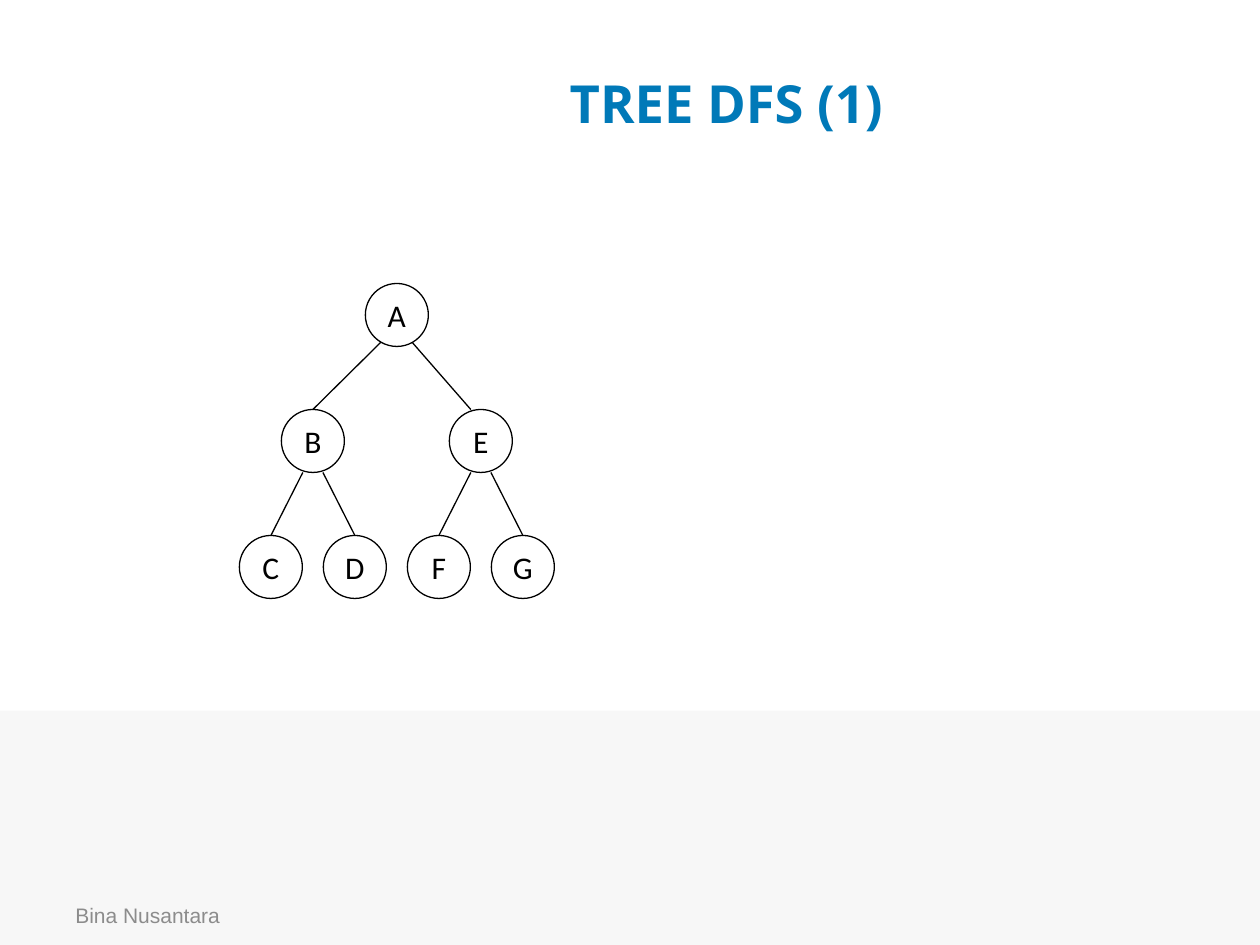
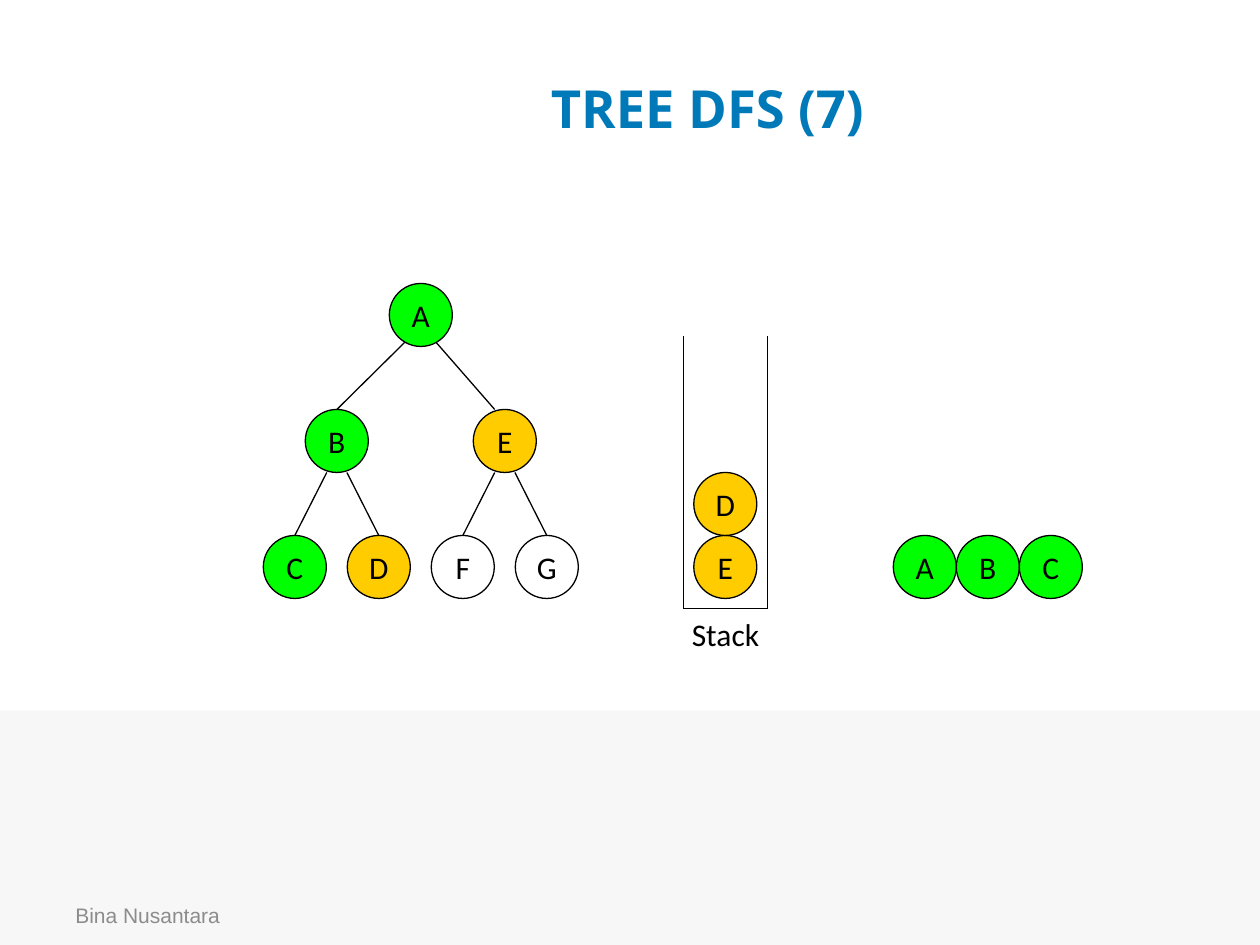
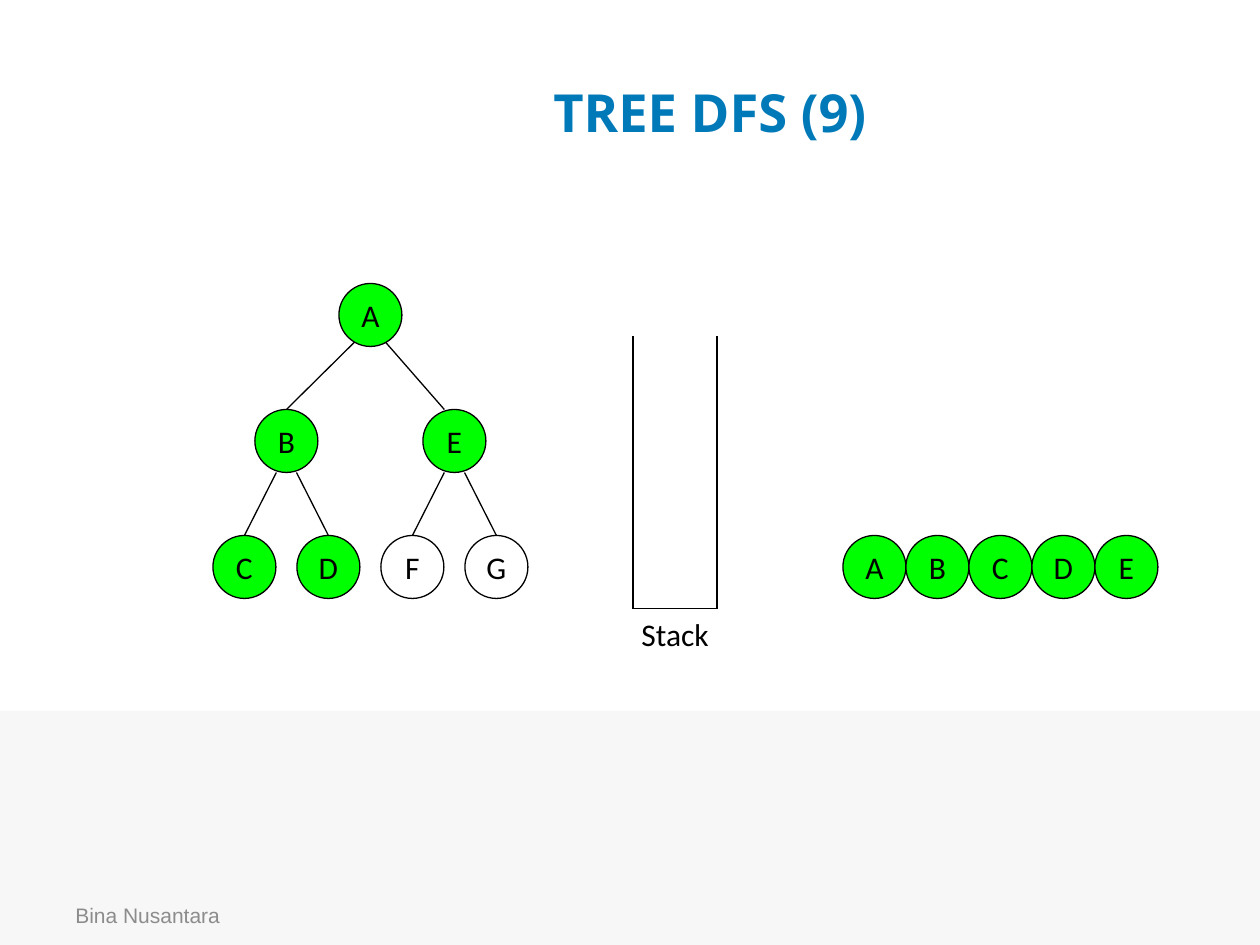
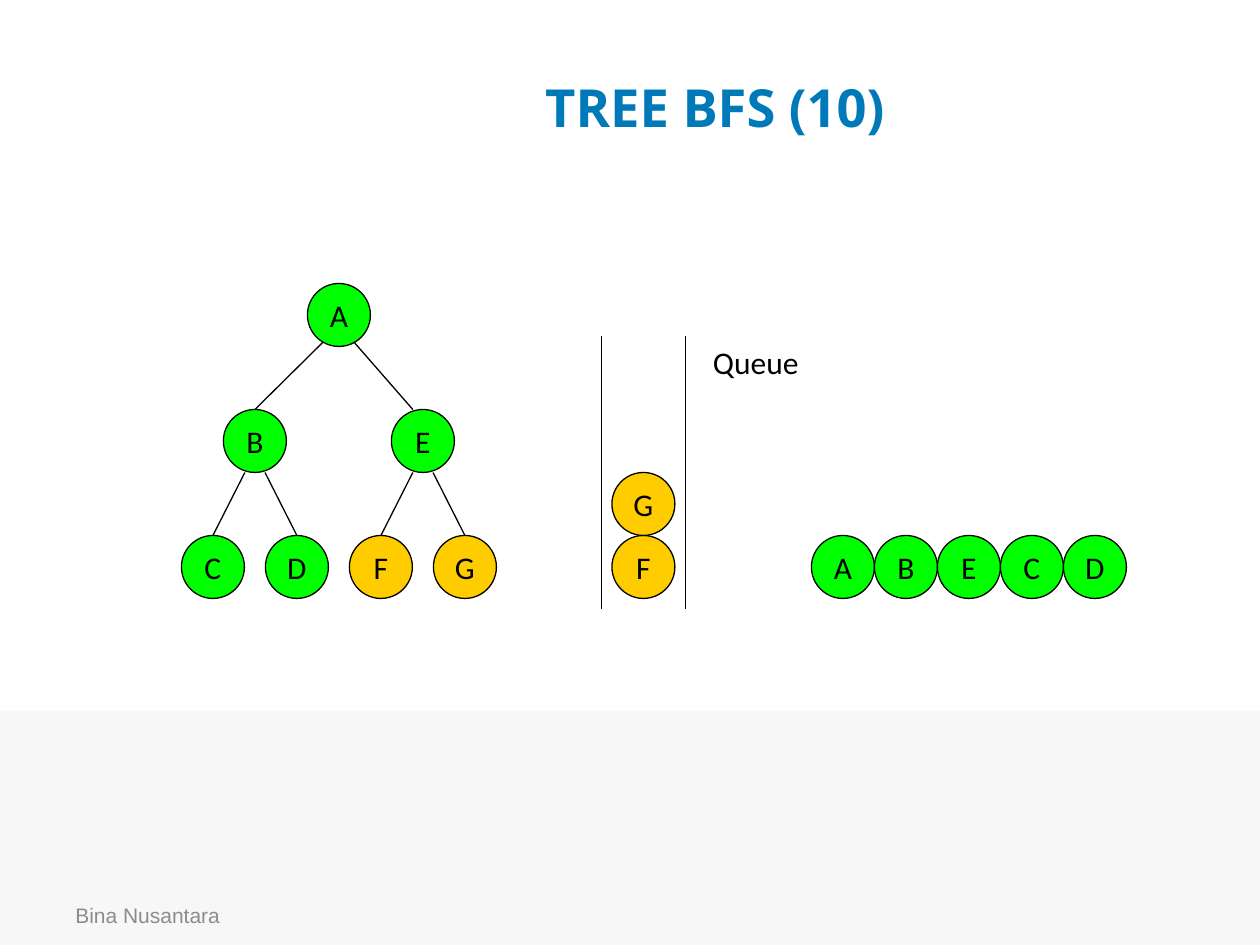
from dataclasses import dataclass

from lxml import etree
from pptx import Presentation
from pptx.dml.color import RGBColor
from pptx.enum.shapes import MSO_CONNECTOR, MSO_SHAPE
from pptx.enum.text import MSO_ANCHOR, PP_ALIGN
from pptx.oxml.ns import qn
from pptx.util import Inches, Pt

OVAL, RECTANGLE = MSO_SHAPE.OVAL, MSO_SHAPE.RECTANGLE
STRAIGHT = MSO_CONNECTOR.STRAIGHT
TOP, MIDDLE = MSO_ANCHOR.TOP, MSO_ANCHOR.MIDDLE
LEFT, CENTER = PP_ALIGN.LEFT, PP_ALIGN.CENTER


@dataclass(frozen=True)
class Theme:
    ink: str = "000000"
    title: str = "0079B8"
    footer: str = "8C8C8C"
    band: str = "F7F7F7"
    unseen: str = "FFFFFF"
    waiting: str = "FFCC00"
    visited: str = "00FF00"
    title_font: tuple = ("Open Sans", 30)
    label_font: tuple = ("Calibri", 18)
    footer_font: tuple = ("Arial", 12)
    line_width: float = 0.75


# Tree geometry, measured from the left edge of the leaf row
NODE = 0.5
STEP = 2 / 3
LEAF_TOP = 4.25
FORK = 0.08  # distance of a branch from the middle of its parent
NODES = {
    "A": (1.5 * STEP, 2.25),
    "B": (0.5 * STEP, 3.25),
    "E": (2.5 * STEP, 3.25),
    "C": (0, LEAF_TOP),
    "D": (STEP, LEAF_TOP),
    "F": (2 * STEP, LEAF_TOP),
    "G": (3 * STEP, LEAF_TOP),
}
# Parent, child, side of the parent, start height, shift at the child
EDGES = [
    ("A", "B", -1, 2.67, 0),
    ("A", "E", 1, 2.67, -FORK),
    ("B", "C", -1, 3.75, 0),
    ("B", "D", 1, 3.75, 0),
    ("E", "F", -1, 3.75, 0),
    ("E", "G", 1, 3.75, 0),
]

# Container and visited row, measured from the same edge
CONTAINER_LEFT = 5 * STEP
CONTAINER_TOP, CONTAINER_BOTTOM = 2.67, 4.83
VISITED_LEFT = 5


class Deck:
    def __init__(self, theme):
        self.theme = theme
        self.show = Presentation()
        self.show.slide_width, self.show.slide_height = Inches(10), Inches(7.5)
        self.page = self.shapes = None

    def new_page(self, title, title_left, title_top):
        theme = self.theme
        self.page = self.show.slides.add_slide(self.show.slide_layouts[6])
        self.ungroup()
        self.shape(RECTANGLE, 0, 5.64, 10, 1.86, theme.band)
        self.text("Bina Nusantara", 0.5, 7.06, 2.33, 0.4, theme.footer_font,
                  theme.footer, align=LEFT)
        self.text(title, title_left, title_top, 7.73, 1.25, theme.title_font,
                  theme.title, bold=True)

    def group(self):
        self.shapes = self.page.shapes.add_group_shape().shapes

    def ungroup(self):
        self.shapes = self.page.shapes

    def fill_text(self, frame, words, font, color, align=CENTER,
                  anchor=MIDDLE, bold=False, wrap=True):
        frame.word_wrap = wrap
        frame.vertical_anchor = anchor
        para = frame.paragraphs[0]
        para.text = words
        para.alignment = align
        para.font.name, size = font
        para.font.size = Pt(size)
        para.font.bold = bold
        para.font.color.rgb = RGBColor.from_string(color)

    def text(self, words, left, top, width, height, font, color, **style):
        box = self.shapes.add_textbox(Inches(left), Inches(top),
                                      Inches(width), Inches(height))
        self.fill_text(box.text_frame, words, font, color, **style)

    def label(self, words, left, top, width):
        self.text(words, left, top, width, 0.4, self.theme.label_font,
                  self.theme.ink, anchor=TOP, wrap=False)

    def shape(self, kind, left, top, width, height, fill):
        shape = self.shapes.add_shape(kind, Inches(left), Inches(top),
                                      Inches(width), Inches(height))
        shape.shadow.inherit = False
        shape.fill.solid()
        shape.fill.fore_color.rgb = RGBColor.from_string(fill)
        shape.line.fill.background()
        return shape

    def outline(self, line):
        line.color.rgb = RGBColor.from_string(self.theme.ink)
        line.width = Pt(self.theme.line_width)

    def node(self, letter, left, top, fill):
        node = self.shape(OVAL, left, top, NODE, NODE, fill)
        self.outline(node.line)
        self.fill_text(node.text_frame, letter, self.theme.label_font,
                       self.theme.ink, wrap=False)

    def line(self, x1, y1, x2, y2):
        line = self.shapes.add_connector(STRAIGHT, Inches(x1), Inches(y1),
                                         Inches(x2), Inches(y2))
        self.outline(line.line)
        etree.SubElement(line._element.spPr, qn("a:effectLst"))

    def tree(self, left, visited="", waiting=""):
        theme = self.theme
        self.group()
        middle = left + NODE / 2
        for parent, child, side, start, shift in EDGES:
            child_x, child_top = NODES[child]
            self.line(middle + child_x + shift, child_top,
                      middle + NODES[parent][0] + side * FORK, start)
        for letter, (x, top) in NODES.items():
            fill = (theme.visited if letter in visited else
                    theme.waiting if letter in waiting else theme.unseen)
            self.node(letter, left + x, top, fill)
        self.ungroup()

    def container(self, left, waiting, closed):
        """Draw the waiting nodes, first one at the bottom."""
        self.group()
        right = left + STEP
        for x in (left, right):
            self.line(x, CONTAINER_BOTTOM, x, CONTAINER_TOP)
        if closed:
            self.line(left, CONTAINER_BOTTOM, right, CONTAINER_BOTTOM)
        for level, letter in enumerate(waiting):
            self.node(letter, left + (STEP - NODE) / 2,
                      LEAF_TOP - level * NODE, self.theme.waiting)
        self.ungroup()

    def search_step(self, left, visited, waiting, queue=False):
        self.tree(left, visited, waiting)
        container_left = left + CONTAINER_LEFT
        self.container(container_left, waiting, closed=not queue)
        for place, letter in enumerate(visited):
            self.node(letter, left + VISITED_LEFT + place * NODE, LEAF_TOP,
                      self.theme.visited)
        if queue:
            self.label("Queue", container_left + 0.75, CONTAINER_TOP, 0.95)
        else:
            self.label("Stack", container_left - 0.08, CONTAINER_BOTTOM, 0.83)


def main():
    deck = Deck(Theme())

    # Tree before the search
    deck.new_page("TREE DFS (1)", 1.9, 0.19)
    deck.tree(1.9)

    # Depth-first search with a stack
    deck.new_page("TREE DFS (7)", 1.75, 0.23)
    deck.search_step(2.09, visited="ABC", waiting="ED")

    deck.new_page("TREE DFS (9)", 1.77, 0.26)
    deck.search_step(1.69, visited="ABCDE", waiting="")

    # Breadth-first search with a queue
    deck.new_page("TREE BFS (10)", 1.81, 0.22)
    deck.search_step(1.44, visited="ABECD", waiting="FG", queue=True)

    deck.show.save("out.pptx")


if __name__ == "__main__":
    main()
